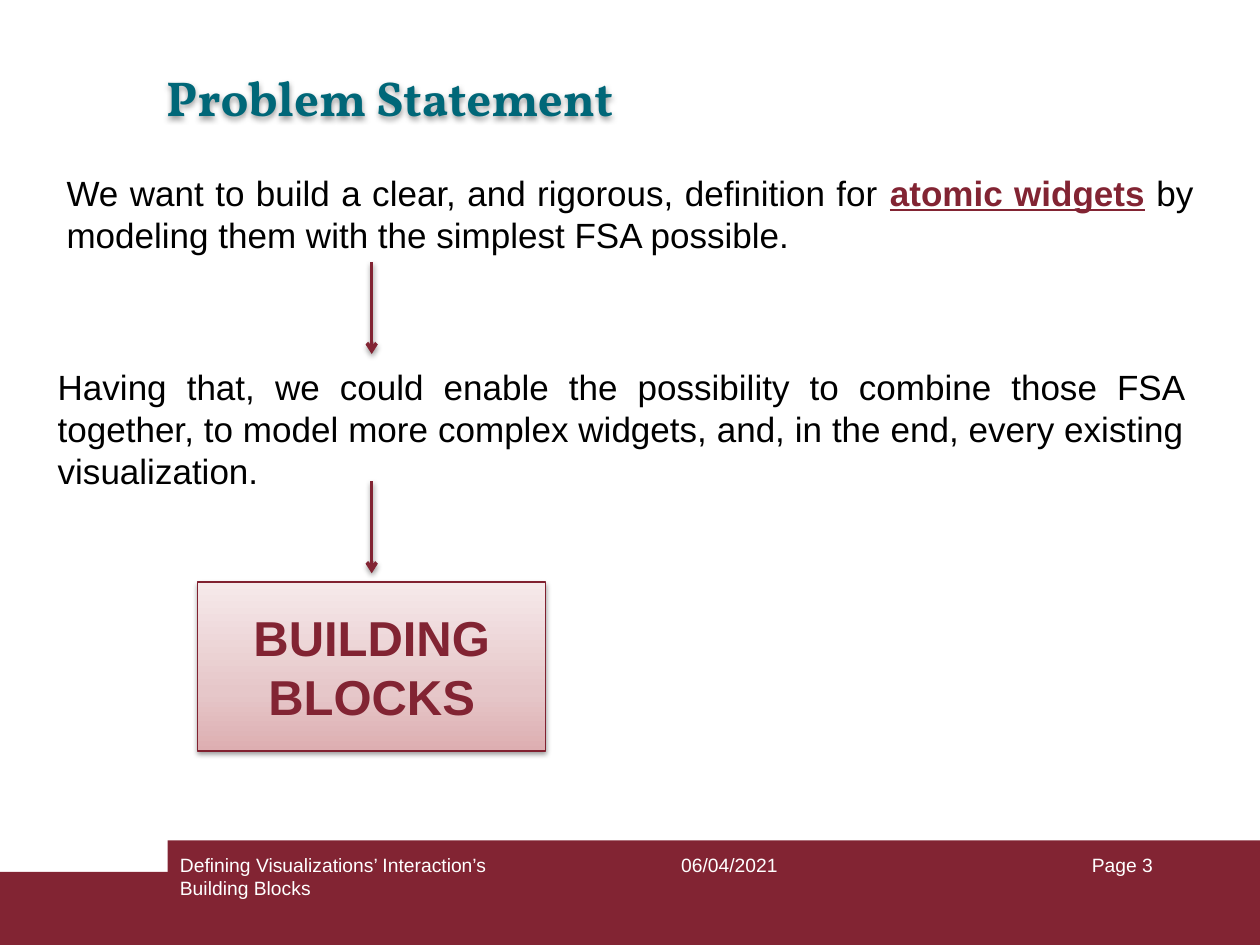
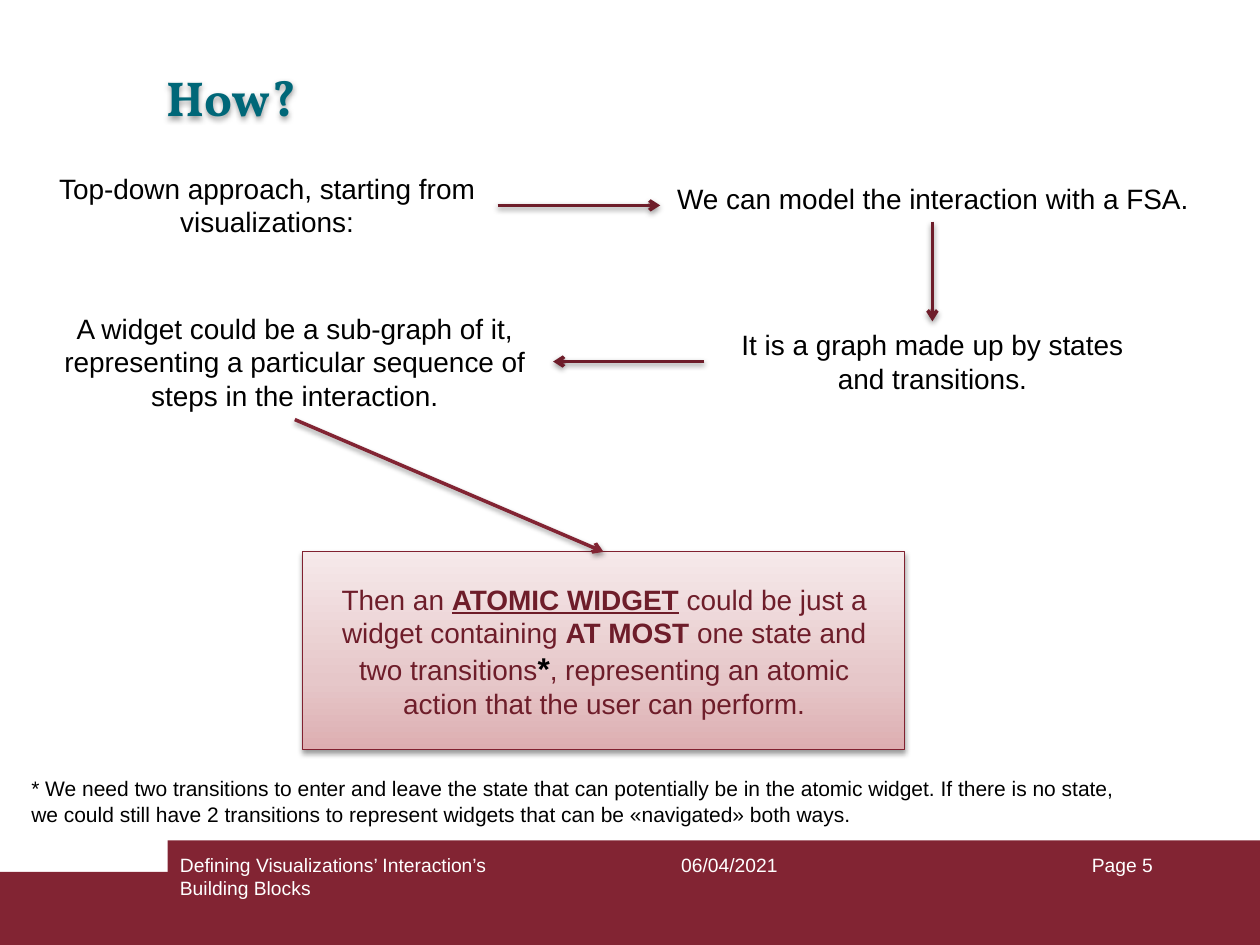
from lxml import etree
from pptx import Presentation
from pptx.dml.color import RGBColor
from pptx.enum.shapes import MSO_CONNECTOR, MSO_SHAPE
from pptx.enum.text import MSO_ANCHOR, MSO_AUTO_SIZE, PP_ALIGN
from pptx.oxml.ns import qn
from pptx.util import Inches, Pt

RECT = MSO_SHAPE.RECTANGLE
STRAIGHT = MSO_CONNECTOR.STRAIGHT
LEFT, CENTER, RIGHT, JUSTIFY = (
    PP_ALIGN.LEFT, PP_ALIGN.CENTER, PP_ALIGN.RIGHT, PP_ALIGN.JUSTIFY)
TOP, MIDDLE = MSO_ANCHOR.TOP, MSO_ANCHOR.MIDDLE
GROW, FIXED = MSO_AUTO_SIZE.SHAPE_TO_FIT_TEXT, MSO_AUTO_SIZE.NONE

WINE, DARK_WINE, BORDER = "822433", "6E1D2A", "812130"
TEAL, BLACK, WHITE = "006778", "000000", "FFFFFF"
GRADIENT = [(0, "DDAEB1"), (35, "E6C7C9"), (100, "F6E9EA")]
BODY_FONT, TITLE_FONT = "Arial", "Vollkorn"
TALK, DATE = "Defining Visualizations’ Interaction’s Building Blocks", "06/04/2021"


def rgb(color):
    """Turn a hex string into a colour."""
    return RGBColor.from_string(color)


def child(parent, tag, **attrs):
    """Append a drawing element with attributes to a parent."""
    return etree.SubElement(parent, qn(tag), {k: str(v) for k, v in attrs.items()})


def add_shadow(shape):
    """Give a shape the soft shadow that falls straight down."""
    effects = child(shape._element.spPr, "a:effectLst")
    shadow = child(effects, "a:outerShdw", blurRad=40000, dist=20000,
                   dir=5400000, rotWithShape=0)
    child(child(shadow, "a:srgbClr", val=BLACK), "a:alpha", val=38000)


def add_text(s, box, runs, size, align=LEFT, color=BLACK, font=BODY_FONT,
             anchor=TOP, auto_size=GROW):
    """Add a wrapped one-paragraph text box from (text, style) runs."""
    sp = s.shapes.add_textbox(*map(Inches, box))
    tf = sp.text_frame
    tf.word_wrap = True
    tf.auto_size = auto_size
    tf.vertical_anchor = anchor
    p = tf.paragraphs[0]
    p.alignment = align
    for text, style in runs:
        r = p.add_run()
        r.text = text
        r.font.name = font
        r.font.size = Pt(style.get("size", size))
        r.font.bold = style.get("bold", False)
        r.font.underline = style.get("underline", False)
        r.font.color.rgb = rgb(style.get("color", color))
    return sp


def add_band(s, box):
    """Add a plain wine rectangle."""
    sp = s.shapes.add_shape(RECT, *map(Inches, box))
    sp.shadow.inherit = False
    sp.fill.solid()
    sp.fill.fore_color.rgb = rgb(WINE)
    sp.line.fill.background()


def add_panel(s, box):
    """Add a gradient rectangle with a thin border and a shadow."""
    sp = s.shapes.add_shape(RECT, *map(Inches, box))
    sp.fill.gradient()
    sp.fill.gradient_angle = 90
    stops = sp._element.spPr.find(qn("a:gradFill")).find(qn("a:gsLst"))
    for stop in list(stops):
        stops.remove(stop)
    for percent, color in GRADIENT:
        child(child(stops, "a:gs", pos=percent * 1000), "a:srgbClr", val=color)
    sp.line.color.rgb = rgb(BORDER)
    sp.line.width = Pt(0.75)
    add_shadow(sp)


def add_arrow(s, start, end, color=WINE):
    """Add a shadowed arrow between two points."""
    sp = s.shapes.add_connector(STRAIGHT, *map(Inches, start + end))
    sp.line.color.rgb = rgb(color)
    sp.line.width = Pt(2)
    child(sp._element.spPr.find(qn("a:ln")), "a:tailEnd", type="arrow")
    add_shadow(sp)


def add_slide(prs, title, page):
    """Add a blank slide with the bands, title and footer."""
    s = prs.slides.add_slide(prs.slide_layouts[6])
    add_band(s, (0, 6.92, 10, 0.58))
    add_band(s, (1.33, 6.67, 8.67, 0.83))
    sp = add_text(s, (1.22, 0.45, 8.27, 0.64), [(title, {"bold": True})], 28,
                  color=TEAL, font=TITLE_FONT, anchor=MIDDLE, auto_size=FIXED)
    add_shadow(sp)
    for left, width, text, align in [(4.75, 2.08, DATE, CENTER),
                                     (1.33, 3.17, TALK, LEFT),
                                     (7.17, 2.08, f"Page {page}", RIGHT)]:
        add_text(s, (left, 6.72, width, 0.5), [(text, {})], 11, align,
                 WHITE, auto_size=FIXED)
    return s


def problem_slide(prs):
    """Build the problem statement."""
    s = add_slide(prs, "Problem Statement", 3)
    add_text(s, (0.43, 1.31, 9.14, 0.77), [
        ("We want to build a clear, and rigorous, definition for ", {}),
        ("atomic widgets", {"bold": True, "underline": True, "color": WINE}),
        (" by modeling them with the simplest FSA possible.", {}),
    ], 20, JUSTIFY)
    add_text(s, (0.36, 2.85, 9.14, 1.11), [
        ("Having that, we could enable the possibility to combine those FSA "
         "together, to model more complex widgets, and, in the end, every "
         "existing visualization.", {}),
    ], 20, JUSTIFY)
    for top in (2.08, 3.82):
        add_arrow(s, (2.95, top), (2.95, top + 0.73))
    add_panel(s, (1.57, 4.62, 2.76, 1.34))
    add_text(s, (1.57, 4.77, 2.76, 1.04), [("BUILDING BLOCKS", {"bold": True})],
             28, CENTER, WINE)


def how_slide(prs):
    """Build the chain of steps that leads to the atomic widget."""
    s = add_slide(prs, "How?", 5)
    steps = [
        ((0.28, 1.31, 3.68, 0.64), "Top-down approach, starting from visualizations:"),
        ((5.24, 1.39, 4.33, 0.37), "We can model the interaction with a FSA."),
        ((5.59, 2.55, 3.62, 0.64), "It is a graph made up by states and transitions."),
        ((0.29, 2.42, 4.1, 0.91), "A widget could be a sub-graph of it, representing "
                                  "a particular sequence of steps in the interaction."),
    ]
    for box, text in steps:
        add_text(s, box, [(text, {})], 16, CENTER)
    for start, end in [((3.95, 1.63), (5.24, 1.63)),
                       ((7.4, 1.76), (7.4, 2.55)),
                       ((5.59, 2.87), (4.39, 2.87))]:
        add_arrow(s, start, end, DARK_WINE)
    add_panel(s, (2.4, 4.38, 4.78, 1.57))
    add_text(s, (2.57, 4.57, 4.45, 1.21), [
        ("Then an ", {}),
        ("ATOMIC WIDGET", {"bold": True, "underline": True}),
        (" could be just a widget containing ", {}),
        ("AT MOST ", {"bold": True}),
        ("one state and two transitions", {}),
        ("*", {"size": 18, "bold": True, "color": BLACK}),
        (", representing an atomic action that the user can perform.", {}),
    ], 16, CENTER, DARK_WINE)
    add_arrow(s, (2.34, 3.33), (4.79, 4.38))
    add_text(s, (0.15, 6.11, 8.9, 0.5), [
        ("* We need two transitions to enter and leave the state that can "
         "potentially be in the atomic widget. If there is no state, we could "
         "still have 2 transitions to represent widgets that can be "
         "«navigated» both ways.", {}),
    ], 12)


def main():
    """Build and save the presentation."""
    prs = Presentation()
    prs.slide_width, prs.slide_height = Inches(10), Inches(7.5)
    problem_slide(prs)
    how_slide(prs)
    prs.save("out.pptx")


main()
